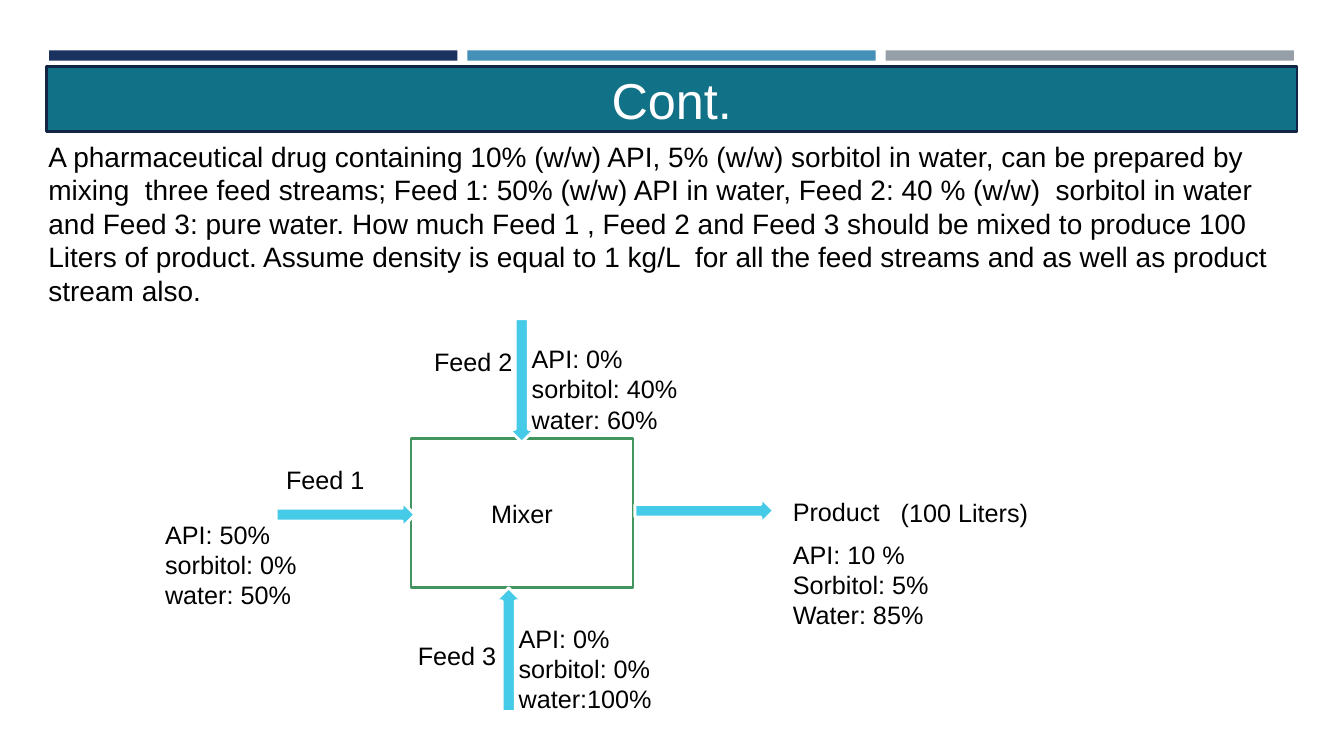
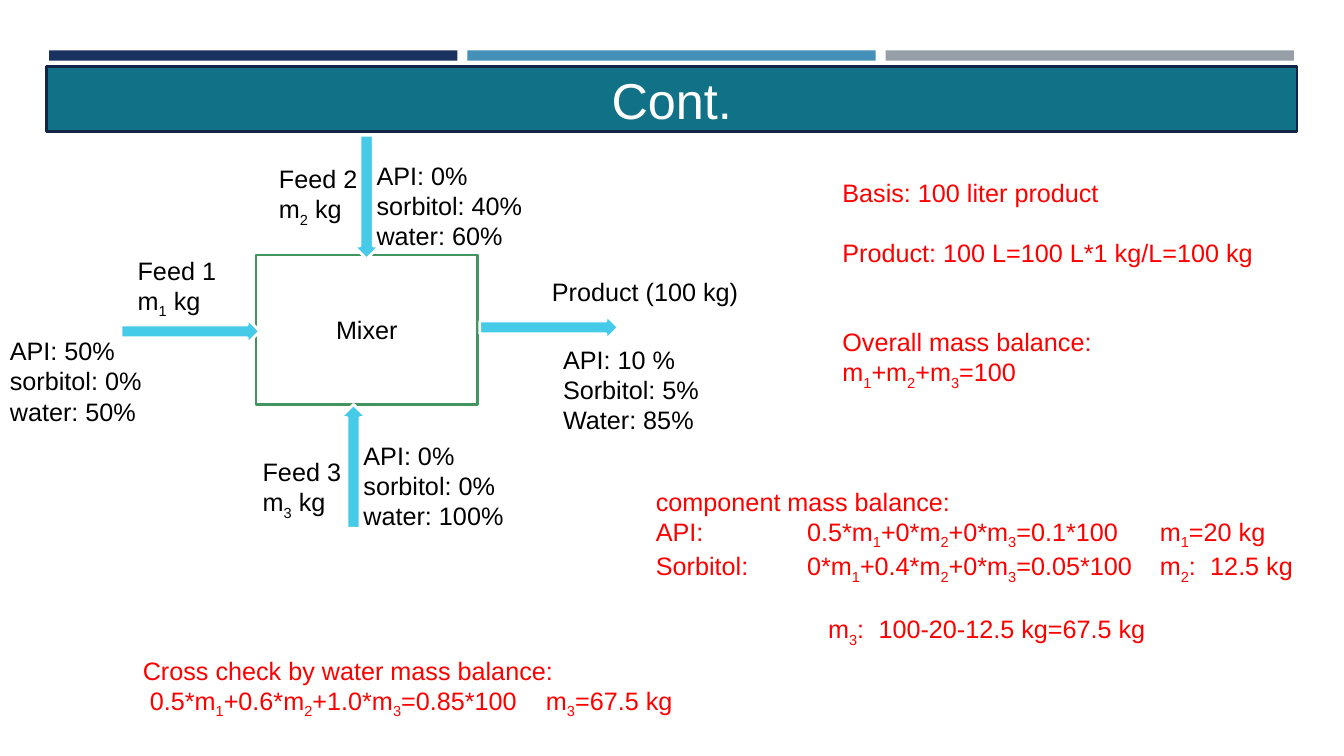
from dataclasses import dataclass

import pptx
import pptx.dml.color
import pptx.enum.shapes
import pptx.enum.text
import pptx.oxml
import pptx.oxml.ns
import pptx.util

Cm = pptx.util.Cm
Pt = pptx.util.Pt
Kind = pptx.enum.shapes.MSO_SHAPE
Align = pptx.enum.text.PP_ALIGN

# Shared look
FONT = "Arial"
BLACK, WHITE, RED = "000000", "FFFFFF", "FF0000"
TEAL, NAVY, GREEN, CYAN = "117186", "132547", "42955F", "45CBE8"
BARS = ("1A3260", "4590B8", "969FA7")


@dataclass
class Label:
    """Text box in cm; "~" starts and ends a subscript."""
    left: float
    top: float
    width: float
    lines: list[str]
    size: int = 18
    color: str = BLACK
    wrap: bool = False
    tabs: tuple[float, ...] = ()
    high: float = 0
    gap: int = 0  # points between paragraphs


@dataclass
class Block:
    """Preset shape in cm."""
    kind: Kind
    left: float
    top: float
    width: float
    height: float
    fill: str
    line: str = ""
    weight: float = 1.75
    turn: int = 0
    text: str = ""
    size: int = 18
    color: str = BLACK


# Basic drawing
def rgb(code: str) -> pptx.dml.color.RGBColor:
    return pptx.dml.color.RGBColor.from_string(code)


def write(para, text: str, size: int, color: str) -> None:
    for i, part in enumerate(text.split("~")):
        if not part:
            continue
        run = para.add_run()
        run.text = part
        run.font.name = FONT
        run.font.size = Pt(size)
        run.font.color.rgb = rgb(color)
        if i % 2:
            run._r.get_or_add_rPr().set("baseline", "-25000")


def set_tabs(para, stops: tuple[float, ...]) -> None:
    props = para._p.get_or_add_pPr()
    group = pptx.oxml.parse_xml(f"<a:tabLst {pptx.oxml.ns.nsdecls('a')}/>")
    for stop in stops:
        tab = group.makeelement(pptx.oxml.ns.qn("a:tab"),
                                {"pos": str(int(Cm(stop))), "algn": "l"})
        group.append(tab)
    props.append(group)


def add_block(shapes, b: Block, x: float = 0, y: float = 0):
    shape = shapes.add_shape(b.kind, Cm(x + b.left), Cm(y + b.top),
                             Cm(b.width), Cm(b.height))
    shape.shadow.inherit = False
    shape.rotation = b.turn
    shape.fill.solid()
    shape.fill.fore_color.rgb = rgb(b.fill)
    if b.line:
        shape.line.color.rgb = rgb(b.line)
        shape.line.width = Pt(b.weight)
    else:
        shape.line.fill.background()
    if b.text:
        shape.text_frame.vertical_anchor = pptx.enum.text.MSO_ANCHOR.MIDDLE
        para = shape.text_frame.paragraphs[0]
        para.alignment = Align.CENTER
        write(para, b.text, b.size, b.color)
    return shape


def add_label(shapes, t: Label, x: float = 0, y: float = 0) -> None:
    high = t.high or 0.25 + 0.77 * len(t.lines)
    box = shapes.add_textbox(Cm(x + t.left), Cm(y + t.top), Cm(t.width), Cm(high))
    frame = box.text_frame
    frame.word_wrap = t.wrap
    frame.auto_size = pptx.enum.text.MSO_AUTO_SIZE.SHAPE_TO_FIT_TEXT
    for i, line in enumerate(t.lines):
        para = frame.add_paragraph() if i else frame.paragraphs[0]
        if i and t.gap:
            para.space_before = Pt(t.gap)
        if t.tabs:
            set_tabs(para, t.tabs)
        write(para, line, t.size, t.color)


# Shared parts
TITLE = Block(Kind.RECTANGLE, 1.17, 1.68, 31.52, 1.63, TEAL, NAVY,
              text="Cont.", size=36, color=WHITE)


def set_bars(layout, slide) -> None:
    """Give the layout the three bars at the top."""
    for hold in list(layout.placeholders):
        layout.shapes.element.remove(hold.element)
    for i, color in enumerate(BARS):
        bar = Block(Kind.RECTANGLE, 1.24 + 10.54 * i, 1.27, 10.29, 0.26, color)
        layout.shapes.element.append(add_block(slide.shapes, bar).element)


# Mixer diagram, measured from the mixer's top left corner
def arrow(kind: Kind, left: float, top: float, turn: int = 0) -> Block:
    width, height = (0.66, 3.12) if kind == Kind.DOWN_ARROW else (3.5, 0.64)
    return Block(kind, left, top, width, height, CYAN, WHITE, 2, turn)


MIXER = [
    Block(Kind.RECTANGLE, 0, 0, 5.59, 3.76, WHITE, GREEN, text="Mixer"),
    arrow(Kind.DOWN_ARROW, 2.46, -3.02),
    arrow(Kind.RIGHT_ARROW, -3.4, 1.6),
    arrow(Kind.RIGHT_ARROW, 5.64, 1.5),
    arrow(Kind.DOWN_ARROW, 2.13, 3.76, 180),
]
MIXES = [
    Label(-6.45, 1.9, 3.86, ["API: 50%", "sorbitol: 0%", "water: 50%"]),
    Label(2.79, -2.52, 4.22, ["API: 0%", "sorbitol: 40%", "water: 60%"]),
]
DRUG = ["API: 10 %", "Sorbitol: 5%", "Water: 85%"]


def add_mixer(shapes, x: float, y: float, feed: tuple[float, float],
              mass: bool, water: str, out: list[Label]) -> None:
    for block in MIXER:
        add_block(shapes, block, x, y)
    spots = (feed, (0.33, -2.44), (-0.08, 4.95))
    for i, (left, top) in enumerate(spots, 1):
        lines = [f"Feed {i}"] + ([f"m~{i}~ kg"] if mass else [])
        add_label(shapes, Label(left, top, 2.51, lines), x, y)
    last = Label(2.46, 4.53, 4.06 if mass else 3.86,
                 ["API: 0%", "sorbitol: 0%", water])
    for label in [*MIXES, last, *out]:
        add_label(shapes, label, x, y)


# Slide texts
TASK = Label(0.97, 3.38, 31.72, [
    "A pharmaceutical drug containing 10% (w/w) API, 5% (w/w) sorbitol in water, "
    "can be prepared by mixing  three feed streams; Feed 1: 50% (w/w) API in water, "
    "Feed 2: 40 % (w/w)  sorbitol in water and Feed 3: pure water. How much Feed 1 , "
    "Feed 2 and Feed 3 should be mixed to produce 100 Liters of product. Assume "
    "density is equal to 1 kg/L  for all the feed streams and as well as product "
    "stream also."], size=20, wrap=True, high=4.52)

STEPS = [
    Label(20.98, 4.34, 11.71, ["Basis: 100 liter product",
                               "Product: 100 L=100 L*1 kg/L=100 kg"],
          color=RED, wrap=True, high=2.57, gap=21),
    Label(20.98, 8.1, 11.71, ["Overall mass balance:", "m~1~+m~2~+m~3~=100"],
          color=RED, wrap=True),
    Label(16.28, 12.12, 18.64, [
        "component mass balance:",
        "API:\t0.5*m~1~+0*m~2~+0*m~3~=0.1*100\tm~1~=20 kg",
        "Sorbitol:\t0*m~1~+0.4*m~2~+0*m~3~=0.05*100\tm~2~:\t12.5 kg"],
          color=RED, wrap=True, tabs=(3.81, 12.7, 13.97)),
    Label(20.62, 15.34, 8.59, ["m~3~:\t100-20-12.5 kg=67.5 kg"],
          color=RED, tabs=(1.27,)),
    Label(3.35, 16.38, 14.02, [
        "Cross check by water mass balance:",
        " 0.5*m~1~+0.6*m~2~+1.0*m~3~=0.85*100\tm~3~=67.5 kg"],
          color=RED, tabs=(10.16,)),
]


def main() -> None:
    deck = pptx.Presentation()
    deck.slide_width, deck.slide_height = Cm(33.87), Cm(19.05)
    blank = deck.slide_layouts[6]
    first, second = (deck.slides.add_slide(blank) for _ in range(2))
    set_bars(blank, first)
    for slide in (first, second):
        add_block(slide.shapes, TITLE)

    # Task
    add_label(first.shapes, TASK)
    add_mixer(first.shapes, 10.36, 11.05, (-3.4, 0.53), False, "water:100%", [
        Label(9.37, 1.32, 2.72, ["Product"]),
        Label(12.09, 1.35, 3.76, ["(100 Liters)"]),
        Label(9.37, 2.41, 3.96, DRUG)])

    # Solution
    group = second.shapes.add_group_shape()
    add_mixer(group.shapes, 6.45, 6.43, (-3.23, -0.13), True, "water: 100%", [
        Label(7.21, 0.41, 5.26, ["Product (100 kg)"]),
        Label(7.49, 2.11, 3.96, DRUG)])
    for step in STEPS:
        add_label(second.shapes, step)

    deck.save("out.pptx")


if __name__ == "__main__":
    main()
